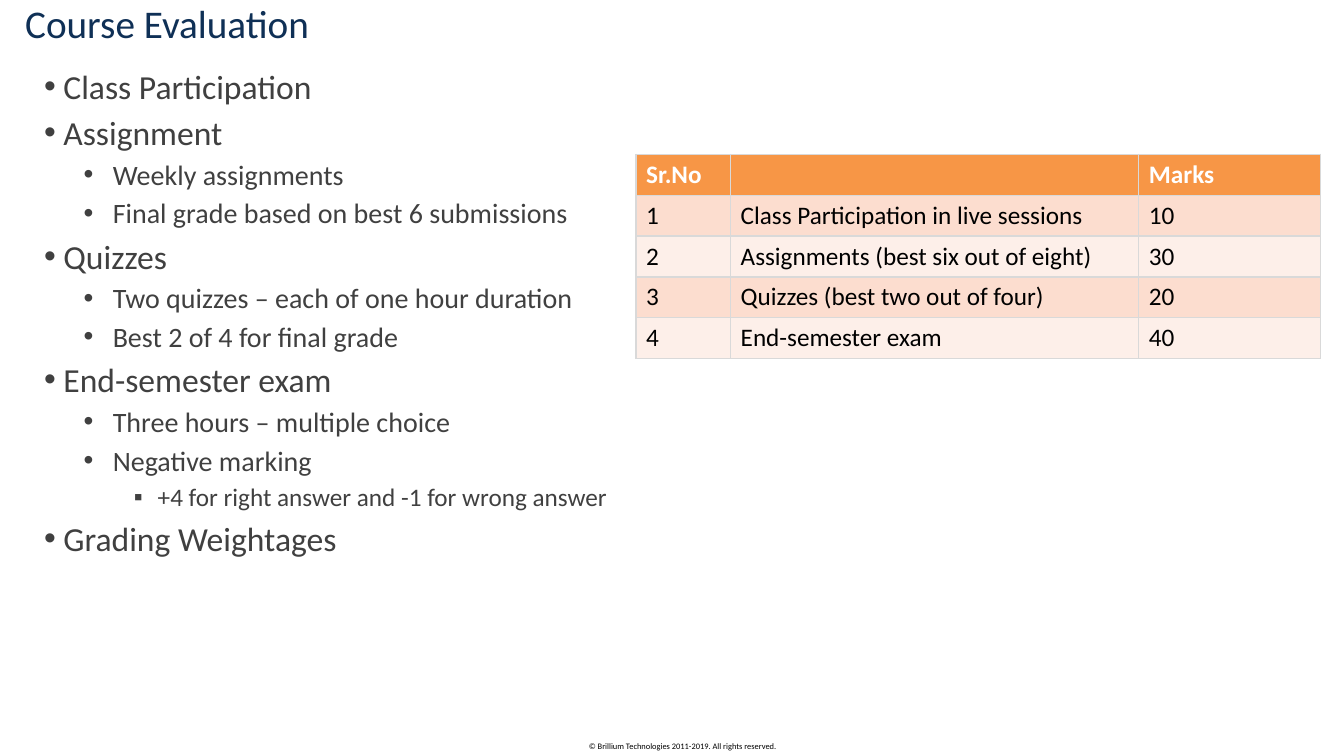
from dataclasses import dataclass

from lxml import etree
from pptx import Presentation
from pptx.dml.color import RGBColor
from pptx.enum.text import MSO_ANCHOR, MSO_AUTO_SIZE, PP_ALIGN
from pptx.oxml.ns import qn
from pptx.util import Pt

LEFT, CENTER = PP_ALIGN.LEFT, PP_ALIGN.CENTER
TOP, MIDDLE = MSO_ANCHOR.TOP, MSO_ANCHOR.MIDDLE
NO_AUTOFIT = MSO_AUTO_SIZE.NONE
TITLE_ONLY = 5


@dataclass(frozen=True)
class Theme:
    font: str = "Calibri"
    title: str = "0F3056"
    body: str = "404040"
    black: str = "000000"
    white: str = "FFFFFF"
    header_fill: str = "F79646"
    band_fills: tuple[str, str] = ("FCDDCF", "FDEFE9")
    border: str = "D9D9D9"
    title_size: float = 28
    table_size: float = 18
    footer_size: float = 6
    spacing: float = 0.18  # space before a bullet, as a share of its type size


@dataclass(frozen=True)
class BulletLevel:
    size: float
    margin: float
    hanging: float
    symbol: str


@dataclass(frozen=True)
class Bullet:
    text: str
    level: int = 0


@dataclass(frozen=True)
class Box:
    left: float
    top: float
    width: float
    height: float

    def lengths(self) -> tuple[Pt, Pt, Pt, Pt]:
        return Pt(self.left), Pt(self.top), Pt(self.width), Pt(self.height)


THEME = Theme()
LEVELS = (
    BulletLevel(24, 21.6, 13.7, "•"),
    BulletLevel(20, 56.9, 20.9, "•"),
    BulletLevel(18, 89, 17, "▪"),
)
TITLE_BOX = Box(10.8, 0.7, 901.4, 31)
TOPICS_BOX = Box(16.6, 43.2, 895, 468.7)
MARKS_BOX = Box(454.3, 110.2, 488.8, 146)
FOOTER_BOX = Box(355, 525.6, 265, 15.1)
MARKS_COLUMNS = (67.6, 291.6, 129.6)

TOPICS = (
    Bullet("Class Participation"),
    Bullet("Assignment"),
    Bullet("Weekly assignments", 1),
    Bullet("Final grade based on best 6 submissions", 1),
    Bullet("Quizzes"),
    Bullet("Two quizzes – each of one hour duration", 1),
    Bullet("Best 2 of 4 for final grade", 1),
    Bullet("End-semester exam"),
    Bullet("Three hours – multiple choice", 1),
    Bullet("Negative marking", 1),
    Bullet("+4 for right answer and -1 for wrong answer", 2),
    Bullet("Grading Weightages"),
)
MARKS = (
    ("Sr.No", "", "Marks"),
    ("1", "Class Participation in live sessions", "10"),
    ("2", "Assignments (best six out of eight)", "30"),
    ("3", "Quizzes (best two out of four)", "20"),
    ("4", "End-semester exam", "40"),
)


def add_run(paragraph, text: str, size: float, color: str, bold: bool = False) -> None:
    run = paragraph.add_run()
    run.text = text
    run.font.name = THEME.font
    run.font.size = Pt(size)
    run.font.bold = bold
    run.font.color.rgb = RGBColor.from_string(color)


def place_title(title, text: str) -> None:
    title.left, title.top, title.width, title.height = TITLE_BOX.lengths()
    frame = title.text_frame
    frame.auto_size = NO_AUTOFIT
    frame.vertical_anchor = MIDDLE
    frame.paragraphs[0].alignment = LEFT
    add_run(frame.paragraphs[0], text, THEME.title_size, THEME.title)


def add_text_frame(slide, box: Box):
    frame = slide.shapes.add_textbox(*box.lengths()).text_frame
    frame.word_wrap = True
    frame.vertical_anchor = TOP
    return frame


def format_bullet(paragraph, level: BulletLevel) -> None:
    properties = paragraph._p.get_or_add_pPr()
    properties.set("marL", str(Pt(level.margin)))
    properties.set("indent", str(-Pt(level.hanging)))
    etree.SubElement(properties, qn("a:buFont"), typeface="Arial")
    etree.SubElement(properties, qn("a:buChar"), char=level.symbol)


def add_topics(slide) -> None:
    frame = add_text_frame(slide, TOPICS_BOX)
    for index, topic in enumerate(TOPICS):
        level = LEVELS[topic.level]
        paragraph = frame.add_paragraph() if index else frame.paragraphs[0]
        paragraph.level = topic.level
        format_bullet(paragraph, level)
        if index:
            paragraph.space_before = Pt(level.size * THEME.spacing)
        add_run(paragraph, topic.text, level.size, THEME.body)


def add_borders(cell) -> None:
    properties = cell._tc.get_or_add_tcPr()
    for side in ("lnL", "lnR", "lnT", "lnB"):
        line = etree.SubElement(properties, qn(f"a:{side}"), w=str(Pt(1)))
        fill = etree.SubElement(line, qn("a:solidFill"))
        etree.SubElement(fill, qn("a:srgbClr"), val=THEME.border)


def add_marks_table(slide) -> None:
    table = slide.shapes.add_table(
        len(MARKS), len(MARKS_COLUMNS), *MARKS_BOX.lengths()
    ).table
    for column, width in zip(table.columns, MARKS_COLUMNS):
        column.width = Pt(width)
    for row_index, (row, entries) in enumerate(zip(table.rows, MARKS)):
        row.height = Pt(MARKS_BOX.height / len(MARKS))
        is_header = row_index == 0
        fill = THEME.header_fill if is_header else THEME.band_fills[(row_index - 1) % 2]
        color = THEME.white if is_header else THEME.black
        for cell, entry in zip(row.cells, entries):
            add_borders(cell)
            cell.fill.solid()
            cell.fill.fore_color.rgb = RGBColor.from_string(fill)
            paragraph = cell.text_frame.paragraphs[0]
            paragraph.font.size = Pt(THEME.table_size)
            if entry:
                add_run(paragraph, entry, THEME.table_size, color, is_header)


def add_footer(slide) -> None:
    paragraph = add_text_frame(slide, FOOTER_BOX).paragraphs[0]
    paragraph.alignment = CENTER
    add_run(paragraph, "© Brillium Technologies 2011-2019. All rights reserved.",
            THEME.footer_size, THEME.black)


def main() -> None:
    presentation = Presentation()
    presentation.slide_width = Pt(960)
    presentation.slide_height = Pt(540)
    slide = presentation.slides.add_slide(presentation.slide_layouts[TITLE_ONLY])
    add_footer(slide)
    place_title(slide.shapes.title, "Course Evaluation")
    add_topics(slide)
    add_marks_table(slide)
    presentation.save("out.pptx")


if __name__ == "__main__":
    main()
